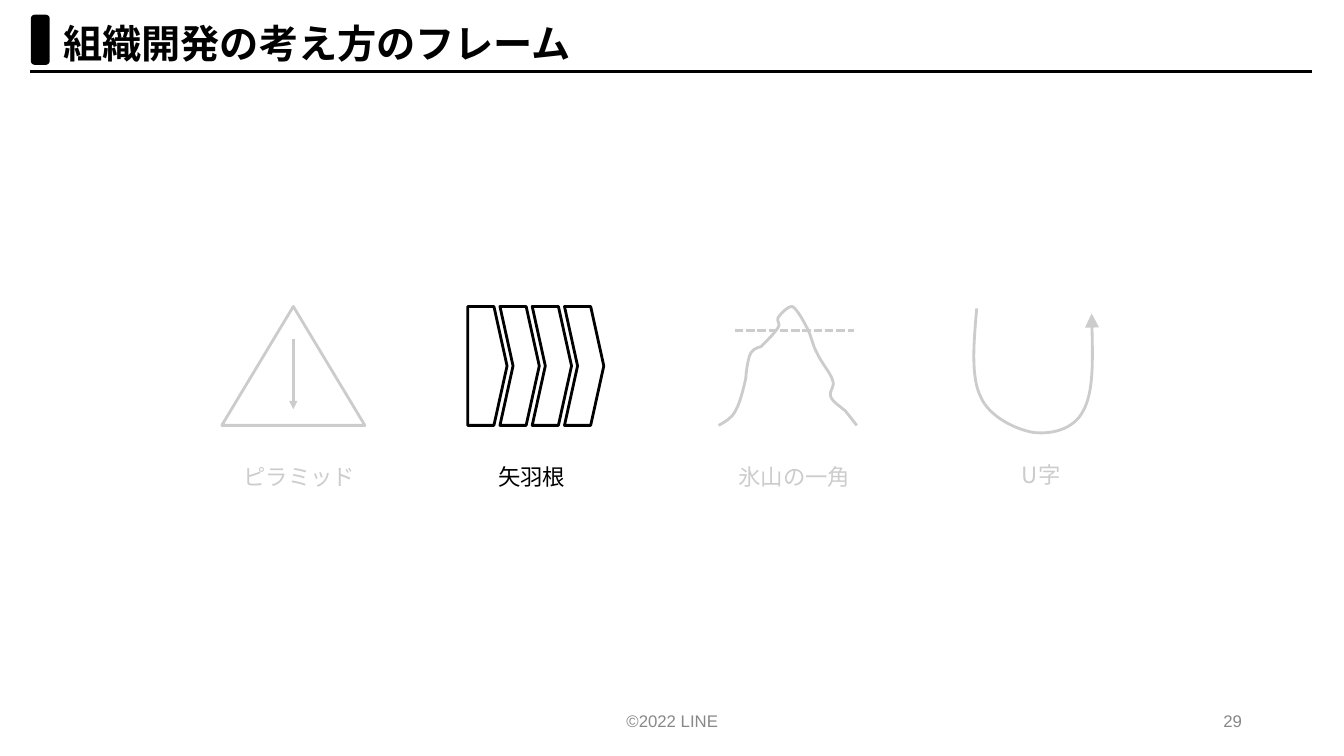
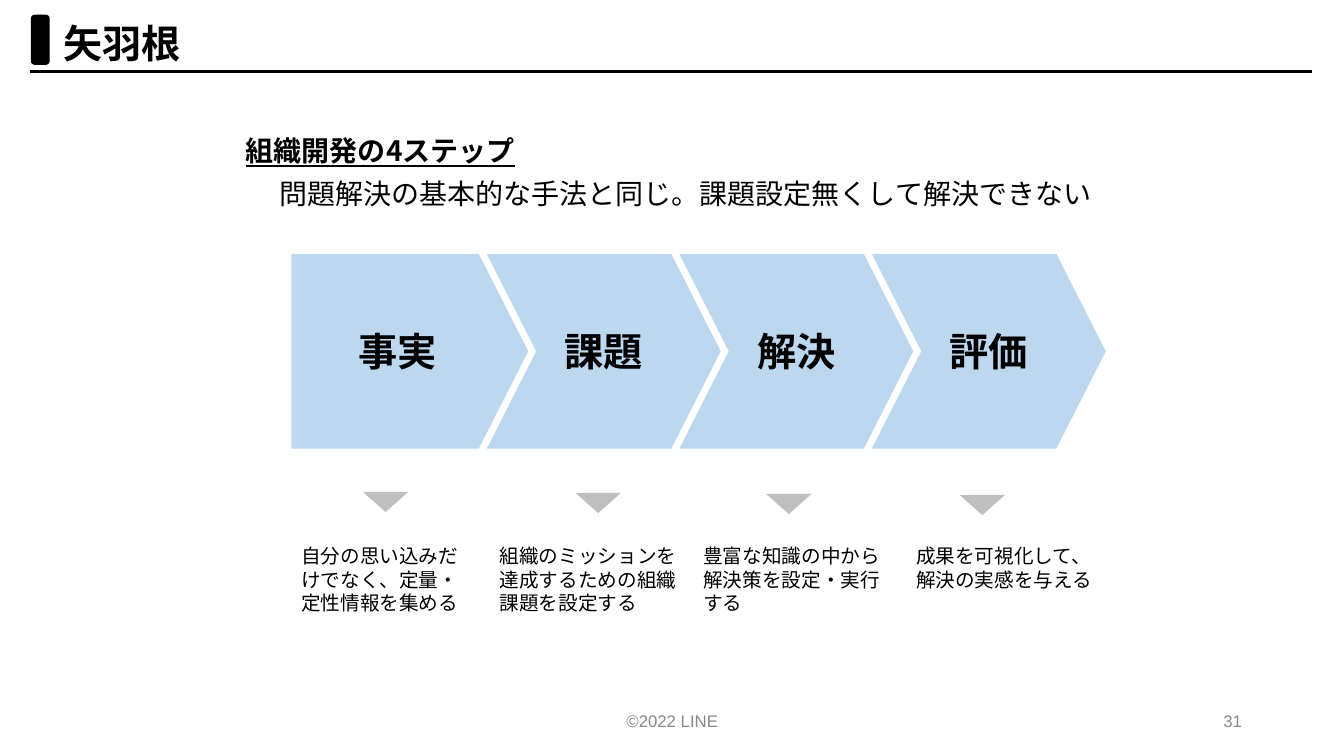
import dataclasses
import lxml.etree
import pptx
import pptx.dml.color
import pptx.enum.dml
import pptx.enum.lang
import pptx.enum.shapes
import pptx.enum.text
import pptx.oxml.ns
import pptx.util

Inches = pptx.util.Inches
qn = pptx.oxml.ns.qn
SHAPE = pptx.enum.shapes.MSO_SHAPE
ALIGN = pptx.enum.text.PP_ALIGN
ANCHOR = pptx.enum.text.MSO_ANCHOR
GROW = pptx.enum.text.MSO_AUTO_SIZE.SHAPE_TO_FIT_TEXT


@dataclasses.dataclass(frozen=True)
class Theme:
    """Colours, fonts and sizes shared by the slides."""
    ink: str = "000000"
    paper: str = "FFFFFF"
    muted: str = "888888"
    step: str = "BDD7EE"
    marker: str = "BFBFBF"
    font: str = "Noto Sans CJK JP"
    footer_font: str = "Arial"
    title: int = 28
    lead: int = 20
    label: int = 16
    body: int = 14
    footer: int = 12
    stroke: int = 2
    veil_alpha: int = 80


T = Theme()

ICEBERG = [
    (0, 1.18),
    (0.07, 1.14), (0.13, 1.11), (0.17, 1.03),
    (0.22, 0.95), (0.27, 0.71), (0.27, 0.71),
    (0.27, 0.67), (0.29, 0.51), (0.32, 0.46),
    (0.35, 0.41), (0.42, 0.4), (0.42, 0.4),
    (0.45, 0.37), (0.56, 0.26), (0.59, 0.21),
    (0.62, 0.17), (0.57, 0.15), (0.59, 0.11),
    (0.61, 0.08), (0.68, 0), (0.73, 0),
    (0.77, 0.02), (0.83, 0.12), (0.87, 0.2),
    (0.92, 0.28), (0.93, 0.39), (0.98, 0.47),
    (1.02, 0.56), (1.11, 0.66), (1.13, 0.73),
    (1.16, 0.8), (1.09, 0.84), (1.11, 0.89),
    (1.13, 0.95), (1.22, 1), (1.26, 1.04),
    (1.3, 1.09), (1.37, 1.18), (1.37, 1.18),
]
U_CURVE = [
    (0.03, 0),
    (0, 0.34), (-0.03, 0.68), (0.07, 0.88),
    (0.16, 1.08), (0.42, 1.2), (0.59, 1.23),
    (0.76, 1.25), (0.99, 1.21), (1.09, 1.01),
    (1.19, 0.82), (1.18, 0.43), (1.17, 0.05),
]


def rgb(value):
    """Return the colour for a hex string."""
    return pptx.dml.color.RGBColor.from_string(value)


def apply(obj, values):
    """Set attributes from a dict."""
    for name, value in values.items():
        setattr(obj, name, value)


def write(sp, text, size, color=T.ink, font=T.font, align=ALIGN.LEFT,
          anchor=ANCHOR.TOP, frame=None, **extra):
    """Write one formatted paragraph into a shape."""
    tf = sp.text_frame
    apply(tf, {"word_wrap": True, "vertical_anchor": anchor, **(frame or {})})
    p = tf.paragraphs[0]
    p.alignment = align
    r = p.add_run()
    r.text = text
    apply(r.font, {"size": pptx.util.Pt(size), "name": font,
                   "language_id": pptx.enum.lang.MSO_LANGUAGE_ID.JAPANESE,
                   **extra})
    r.font.color.rgb = rgb(color)
    ea = lxml.etree.SubElement(r.font._element, qn("a:ea"))
    ea.set("typeface", font)


def add_text(shapes, box, text, size, grow=True, wrap=True, **fmt):
    """Add a text box."""
    sp = shapes.add_textbox(*map(Inches, box))
    frame = {"word_wrap": wrap}
    if grow:
        frame["auto_size"] = GROW
    write(sp, text, size, frame=frame, **fmt)


def stroke(sp):
    """Give a shape or connector the standard line."""
    sp.line.width = pptx.util.Pt(T.stroke)
    sp.line.color.rgb = rgb(T.ink)


def style(sp, fill=None, outlined=False):
    """Set the fill and outline of a shape, without shadow."""
    sp.shadow.inherit = False
    if fill:
        sp.fill.solid()
        sp.fill.fore_color.rgb = rgb(fill)
    else:
        sp.fill.background()
    if outlined:
        stroke(sp)
    else:
        sp.line.fill.background()


def add_shape(shapes, kind, box, fill=None, outlined=False):
    """Add a styled preset shape."""
    sp = shapes.add_shape(kind, *map(Inches, box))
    style(sp, fill, outlined)
    return sp


def add_line(shapes, *ends):
    """Add a straight line from x1, y1 to x2, y2."""
    cx = shapes.add_connector(pptx.enum.shapes.MSO_CONNECTOR.STRAIGHT,
                              *map(Inches, ends))
    stroke(cx)
    lxml.etree.SubElement(cx.element.spPr, qn("a:effectLst"))
    return cx


def add_arrowhead(sp, size="med"):
    """Put a triangular head at the end of a line."""
    ln = sp.element.spPr.find(qn("a:ln"))
    tail = lxml.etree.SubElement(ln, qn("a:tailEnd"))
    for name, value in {"type": "triangle", "w": size, "len": size}.items():
        tail.set(name, value)


def add_curve(shapes, x, y, points):
    """Draw chained cubic curves offset by x, y."""
    placed = [(Inches(x + px), Inches(y + py)) for px, py in points]
    builder = shapes.build_freeform(*placed[0])
    builder.add_line_segments(placed[1:], close=False)
    sp = builder.convert_to_shape()
    style(sp, outlined=True)
    segments = list(sp.element.spPr.iter(qn("a:lnTo")))
    for i in range(0, len(segments), 3):
        curve = lxml.etree.Element(qn("a:cubicBezTo"))
        segments[i].addprevious(curve)
        for segment in segments[i:i + 3]:
            curve.append(segment[0])
            segment.getparent().remove(segment)
    return sp


def add_chevrons(shapes, box, pitch, first_width, depth, count=4, **look):
    """Add a pentagon and chevrons with right edges at equal pitch."""
    x, y, w, h = box
    row = []
    for i in range(count):
        width = w if i else first_width
        kind = SHAPE.CHEVRON if i else SHAPE.PENTAGON
        left = x + first_width + i * pitch - width
        sp = add_shape(shapes, kind, (left, y, width, h), **look)
        sp.adjustments[0] = depth / min(width, h)
        row.append(sp)
    return row


def add_frame(prs, title, number):
    """Add a slide with title, rule and footer."""
    s = prs.slides.add_slide(prs.slide_layouts[6])
    add_text(s.shapes, (0.53, 0.14, 9.51, 0.57), title, T.title, bold=True)
    add_line(s.shapes, 0.3, 0.71, 13.02, 0.71)
    add_shape(s.shapes, SHAPE.ROUNDED_RECTANGLE, (0.32, 0.16, 0.16, 0.47),
              T.ink, True)
    for box, text, align in (
            ((4.42, 6.95, 4.5, 0.4), "©2022 LINE", ALIGN.CENTER),
            ((9.42, 6.95, 3, 0.4), str(number), ALIGN.RIGHT)):
        add_text(s.shapes, box, text, T.footer, grow=False, color=T.muted,
                 font=T.footer_font, align=align, anchor=ANCHOR.MIDDLE)
    return s


def draw_pyramid(shapes, x, y):
    """Draw a triangle holding a downward arrow."""
    g = shapes.add_group_shape().shapes
    add_shape(g, SHAPE.ISOSCELES_TRIANGLE, (x, y, 1.42, 1.18), outlined=True)
    add_arrowhead(add_line(g, x + 0.71, y + 0.32, x + 0.71, y + 1.02))


def draw_fletching(shapes, x, y):
    """Draw the row of outlined chevrons."""
    g = shapes.add_group_shape().shapes
    add_chevrons(g, (x, y, 0.39, 1.18), 0.32, 0.39, 0.13, outlined=True)


def draw_iceberg(shapes, x, y):
    """Draw an iceberg with a dashed waterline."""
    g = shapes.add_group_shape().shapes
    add_curve(g, x, y, ICEBERG)
    water = add_line(g, x + 0.16, y + 0.24, x + 1.34, y + 0.24)
    water.line.dash_style = pptx.enum.dml.MSO_LINE.SQUARE_DOT


def draw_u(shapes, x, y):
    """Draw a U-shaped arrow."""
    add_arrowhead(add_curve(shapes, x, y, U_CURVE), "lg")


def add_veil(shapes, box):
    """Fade a region with a translucent rectangle."""
    sp = add_shape(shapes, SHAPE.RECTANGLE, box, T.paper)
    color = sp.element.spPr.find(qn("a:solidFill"))[0]
    alpha = lxml.etree.SubElement(color, qn("a:alpha"))
    alpha.set("val", str(T.veil_alpha * 1000))


def build_frameworks(prs):
    """Build the overview of frameworks with one highlighted."""
    s = add_frame(prs, "組織開発の考え方のフレーム", 29)
    for draw, x, y, label, label_box in (
            (draw_pyramid, 2.2, 3.04, "ピラミッド", (2.3, 4.55, 1.34, 0.37)),
            (draw_fletching, 4.64, 3.04, "矢羽根", (4.84, 4.55, 0.87, 0.37)),
            (draw_iceberg, 7.13, 3.04, "氷山の一角", (7.21, 4.55, 1.34, 0.37)),
            (draw_u, 9.66, 3.06, "U字", (9.66, 4.53, 1.34, 0.37))):
        draw(s.shapes, x, y)
        add_text(s.shapes, label_box, label, T.label, wrap=False,
                 align=ALIGN.CENTER)
    for x, width in ((6.91, 5.5), (1.56, 2.76)):
        add_veil(s.shapes, (x, 1.82, width, 3.82))


def build_steps(prs):
    """Build the four-step process."""
    s = add_frame(prs, "矢羽根", 31)
    steps = (
        ("事実", 3.6, (2.89, 5.35, 1.94, 0.81),
         "自分の思い込みだけでなく、定量・定性情報を集める"),
        ("課題", 5.71, (4.86, 5.35, 2, 0.81),
         "組織のミッションを達成するための組織課題を設定する"),
        ("解決", 7.6, (6.88, 5.35, 2.07, 0.81),
         "豊富な知識の中から解決策を設定・実行する"),
        ("評価", 9.52, (8.99, 5.35, 2.03, 0.57),
         "成果を可視化して、解決の実感を与える"),
    )
    row = add_chevrons(s.shapes, (2.89, 2.52, 2.32, 1.93), 1.91, 2.35, 0.49,
                       count=len(steps), fill=T.step)
    for i, (sp, (name, x, note_box, note)) in enumerate(zip(row, steps)):
        write(sp, name, T.title, align=ALIGN.CENTER, anchor=ANCHOR.MIDDLE,
              bold=True)
        add_text(s.shapes, note_box, note, T.body)
        marker = add_shape(s.shapes, SHAPE.ISOSCELES_TRIANGLE,
                           (x, 4.88 + 0.01 * i, 0.45, 0.2), T.marker)
        marker.rotation = 180
    add_text(s.shapes, (2.34, 1.28, 8.82, 0.44), "組織開発の4ステップ", T.lead,
             bold=True, underline=True)
    add_text(s.shapes, (2.67, 1.7, 8.43, 0.44),
             "問題解決の基本的な手法と同じ。課題設定無くして解決できない", T.lead)


def main():
    """Build and save the presentation."""
    prs = pptx.Presentation()
    apply(prs, {"slide_width": Inches(40 / 3), "slide_height": Inches(7.5)})
    build_frameworks(prs)
    build_steps(prs)
    prs.save("out.pptx")


if __name__ == "__main__":
    main()
